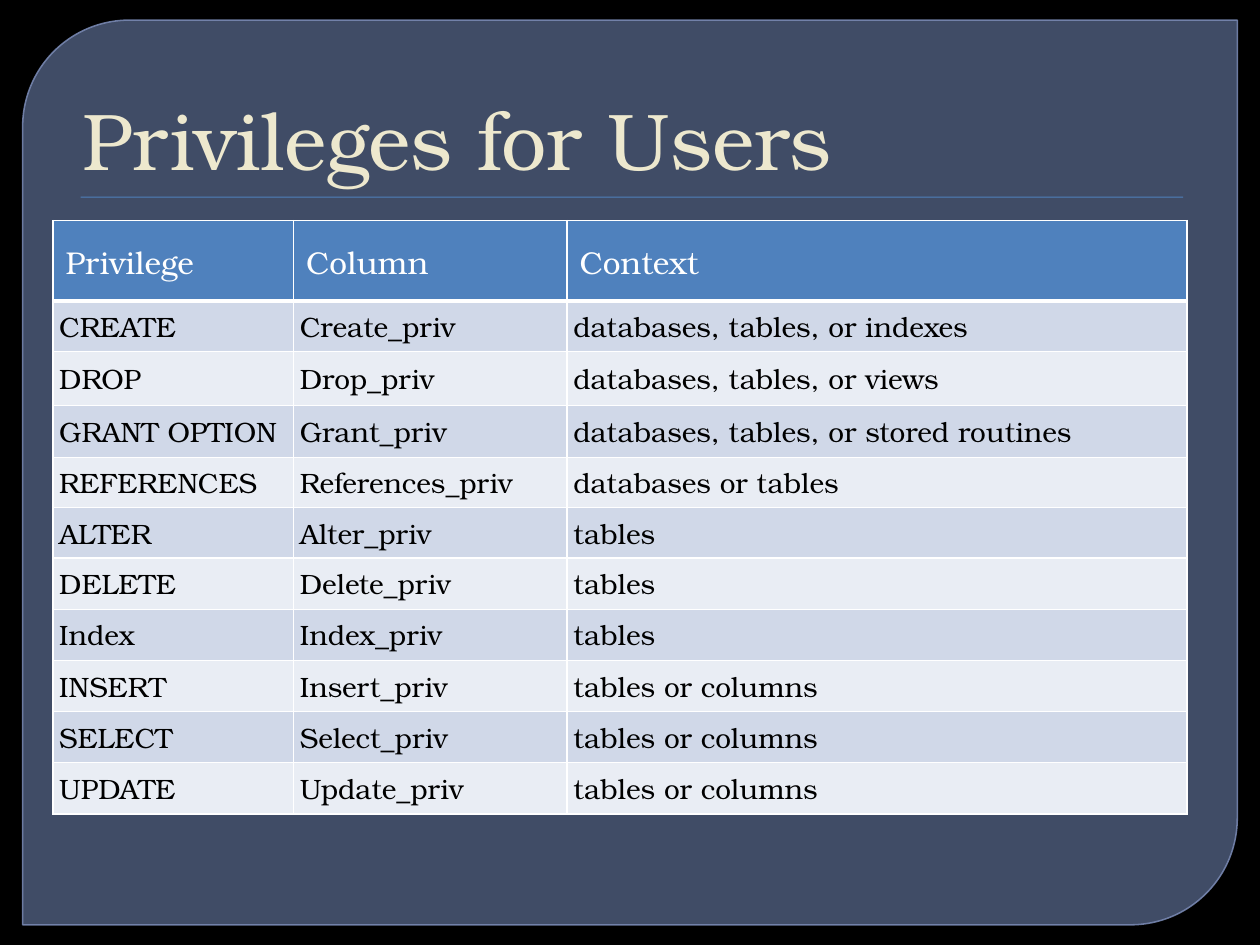
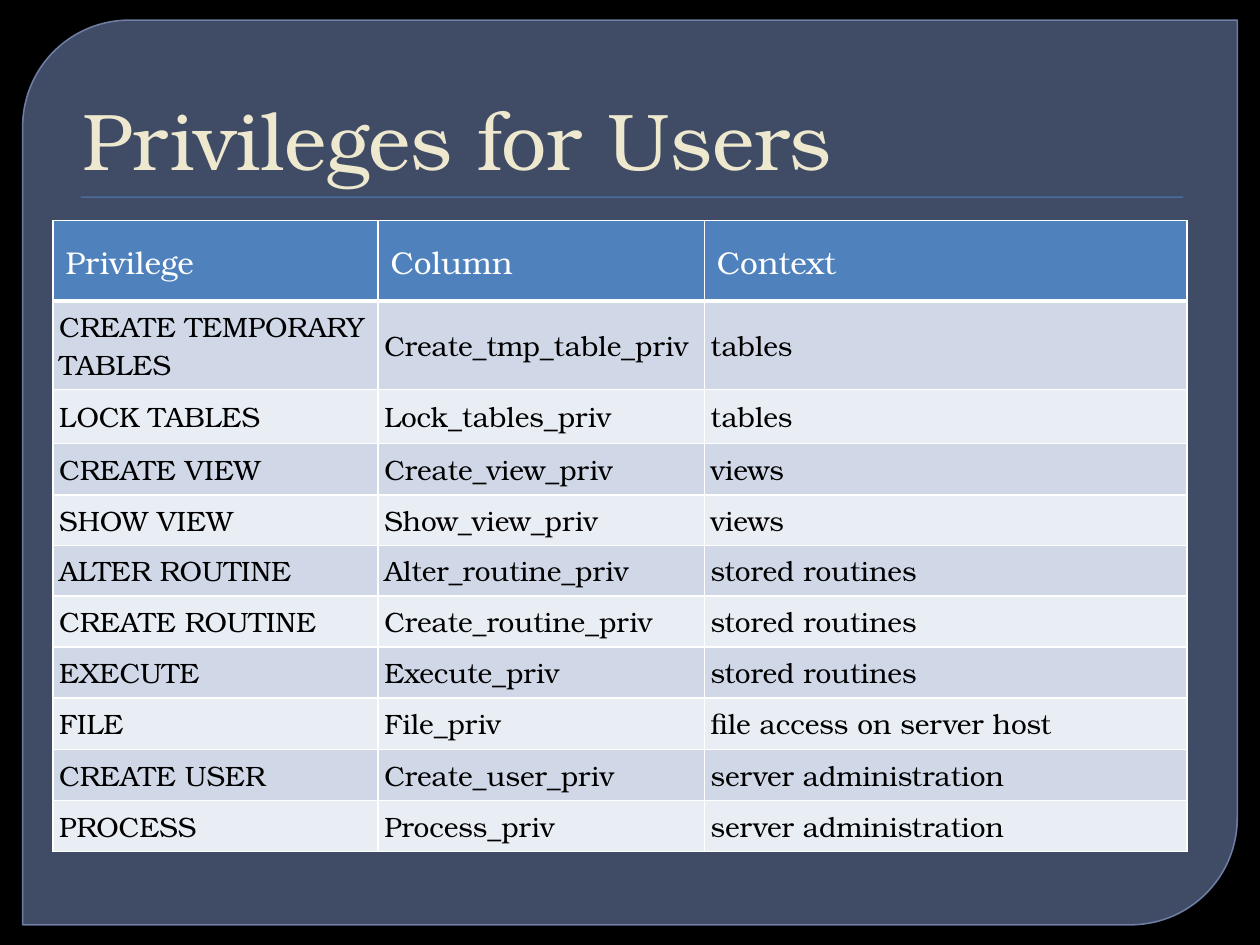
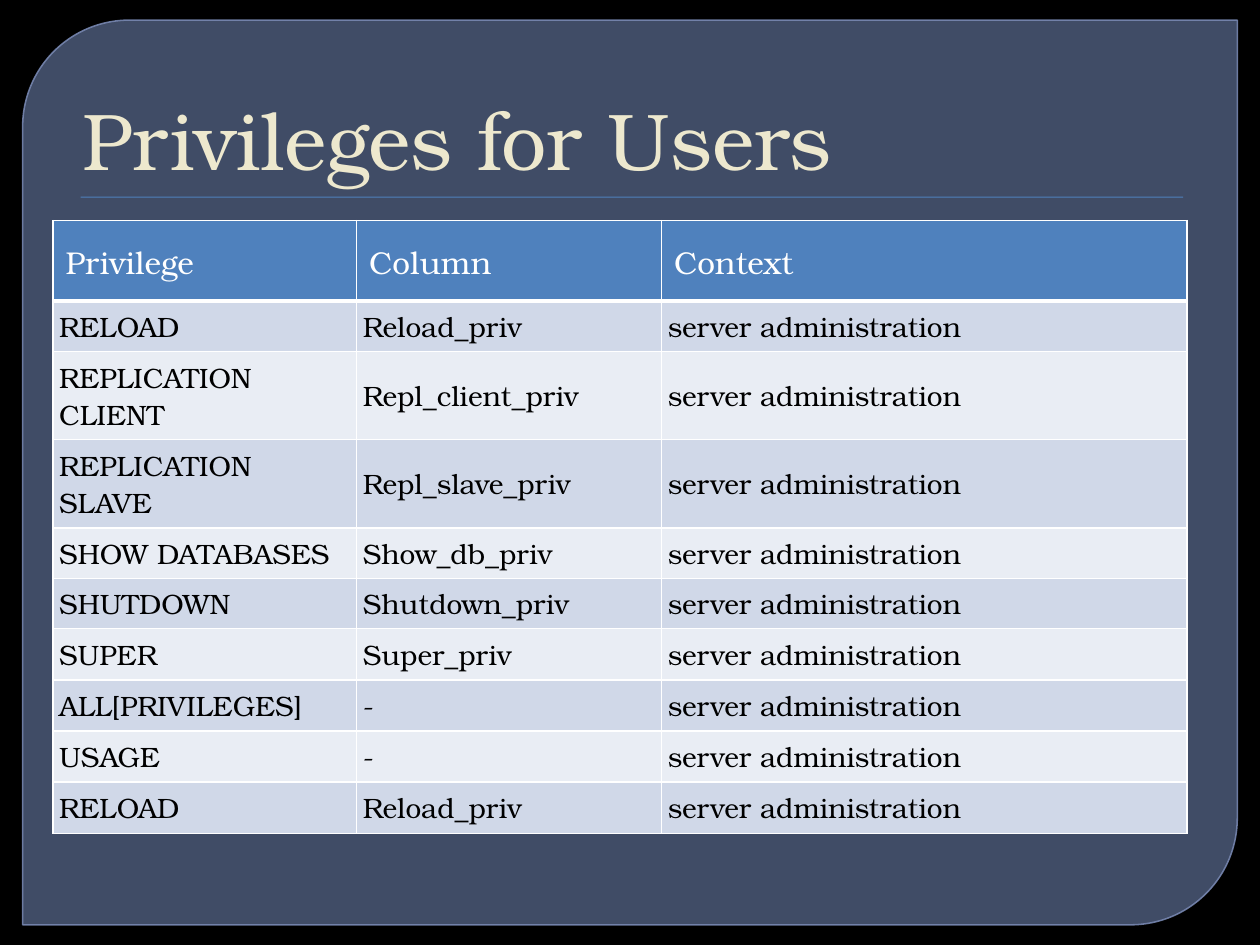
from lxml.etree import SubElement
from pptx import Presentation
from pptx.dml.color import RGBColor
from pptx.enum.shapes import MSO_SHAPE
from pptx.enum.text import MSO_ANCHOR
from pptx.oxml.ns import qn
from pptx.util import Inches, Pt

FONT = "TeX Gyre Bonum"
COLORS = {
    "background": "000000", "panel": "63759D", "panel_edge": "7989B3",
    "accent": "4F81BD", "title": "EDE8CE", "header_text": "FFFFFF",
    "body_text": "000000", "border": "FFFFFF",
    "band_dark": "D0D8E8", "band_light": "E9EDF4",
}

# Boxes are left, top, width, height in inches
PANEL_BOX = (0.18, 0.16, 9.64, 7.18)
TITLE_BOX = (0.5, 0.28, 9, 1.25)
RULE_BOX = (0.64, 1.56, 8.75, 0.01)

TITLE = "Privileges for Users"
HEADINGS = ("Privilege", "Column", "Context")
HEADER_HEIGHT = 0.64
FIRST_ROW_HEIGHTS = (0.4, 0.43, 0.41, 0.4, 0.4)
ROW_HEIGHT = 2.03 / 5  # five equal rows
TWO_LINE_HEIGHT = 0.7
TWO_LINE_PRIVILEGES = {
    "CREATE TEMPORARY TABLES", "REPLICATION CLIENT", "REPLICATION SLAVE",
}
ADMIN = "server administration"

# Table box, column widths and rows of each slide
PRIVILEGE_TABLES = [
    ((0.42, 1.75, 9, 4.71), (1.91, 2.17, 4.92), [
        ("CREATE", "Create_priv", "databases, tables, or indexes"),
        ("DROP", "Drop_priv", "databases, tables, or views"),
        ("GRANT OPTION", "Grant_priv", "databases, tables, or stored routines"),
        ("REFERENCES", "References_priv", "databases or tables"),
        ("ALTER", "Alter_priv", "tables"),
        ("DELETE", "Delete_priv", "tables"),
        ("Index", "Index_priv", "tables"),
        ("INSERT", "Insert_priv", "tables or columns"),
        ("SELECT", "Select_priv", "tables or columns"),
        ("UPDATE", "Update_priv", "tables or columns"),
    ]),
    ((0.42, 1.75, 9, 5.01), (2.58, 2.59, 3.83), [
        ("CREATE TEMPORARY TABLES", "Create_tmp_table_priv", "tables"),
        ("LOCK TABLES", "Lock_tables_priv", "tables"),
        ("CREATE VIEW", "Create_view_priv", "views"),
        ("SHOW VIEW", "Show_view_priv", "views"),
        ("ALTER ROUTINE", "Alter_routine_priv", "stored routines"),
        ("CREATE ROUTINE", "Create_routine_priv", "stored routines"),
        ("EXECUTE", "Execute_priv", "stored routines"),
        ("FILE", "File_priv", "file access on server host"),
        ("CREATE USER", "Create_user_priv", ADMIN),
        ("PROCESS", "Process_priv", ADMIN),
    ]),
    ((0.42, 1.75, 9, 4.87), (2.41, 2.42, 4.17), [
        ("RELOAD", "Reload_priv", ADMIN),
        ("REPLICATION CLIENT", "Repl_client_priv", ADMIN),
        ("REPLICATION SLAVE", "Repl_slave_priv", ADMIN),
        ("SHOW DATABASES", "Show_db_priv", ADMIN),
        ("SHUTDOWN", "Shutdown_priv", ADMIN),
        ("SUPER", "Super_priv", ADMIN),
        ("ALL[PRIVILEGES]", "-", ADMIN),
        ("USAGE", "-", ADMIN),
        ("RELOAD", "Reload_priv", ADMIN),
    ]),
]


def rgb(name):
    return RGBColor.from_string(COLORS[name])


def inches(box):
    return [Inches(length) for length in box]


def write(frame, text, *, size, color, indent=0):
    paragraph = frame.paragraphs[0]
    if indent:
        paragraph._p.get_or_add_pPr().set("marL", str(Inches(indent)))
    run = paragraph.add_run()
    run.text = text
    run.font.name = FONT
    run.font.size = Pt(size)
    run.font.bold = False
    run.font.color.rgb = rgb(color)


def set_alpha(color_parent, percent):
    color = color_parent.find(".//" + qn("a:srgbClr"))
    SubElement(color, qn("a:alpha"), val=str(percent * 1000))


def add_filled(slide, kind, box, color):
    shape = slide.shapes.add_shape(kind, *inches(box))
    shape.shadow.inherit = False
    shape.fill.solid()
    shape.fill.fore_color.rgb = rgb(color)
    shape.line.fill.background()
    return shape


def draw_panel(slide, box):
    panel = add_filled(slide, MSO_SHAPE.ROUND_2_DIAG_RECTANGLE, box, "panel")
    panel.adjustments[0] = 0.118
    panel.adjustments[1] = 0
    panel.line.color.rgb = rgb("panel_edge")
    panel.line.width = Pt(0.87)
    properties = panel._element.spPr
    set_alpha(properties.find(qn("a:solidFill")), 65)
    set_alpha(properties.find(qn("a:ln")), 88)


def draw_rule(slide, box):
    rule = add_filled(slide, MSO_SHAPE.RECTANGLE, box, "accent")
    effects = rule._element.spPr.find(qn("a:effectLst"))
    shadow = SubElement(effects, qn("a:outerShdw"), blurRad=str(Pt(1)),
                        dist=str(Pt(1)), dir="5400000")
    SubElement(shadow, qn("a:srgbClr"), val=COLORS["background"])
    set_alpha(shadow, 75)


def draw_title(slide, box):
    frame = slide.shapes.add_textbox(*inches(box)).text_frame
    frame.word_wrap = True
    frame.vertical_anchor = MSO_ANCHOR.BOTTOM
    write(frame, TITLE, size=46, color="title", indent=0.06)


def set_borders(cell, **widths):
    properties = cell._tc.get_or_add_tcPr()
    for side, width in widths.items():
        line = SubElement(properties, qn("a:ln" + side), w=str(Pt(width)))
        fill = SubElement(line, qn("a:solidFill"))
        SubElement(fill, qn("a:srgbClr"), val=COLORS["border"])


def fill_cell(cell, text, *, fill, size, color, margins):
    cell.vertical_anchor = MSO_ANCHOR.MIDDLE
    side, edge = inches(margins)
    cell.margin_left = cell.margin_right = side
    cell.margin_top = cell.margin_bottom = edge
    cell.fill.solid()
    cell.fill.fore_color.rgb = rgb(fill)
    write(cell.text_frame, text, size=size, color=color)


def row_height(number, privilege):
    if privilege in TWO_LINE_PRIVILEGES:
        return Inches(TWO_LINE_HEIGHT)
    if number < len(FIRST_ROW_HEIGHTS):
        return Inches(FIRST_ROW_HEIGHTS[number])
    return Inches(ROW_HEIGHT)


def draw_privileges(slide, box, column_widths, privileges):
    frame = slide.shapes.add_table(len(privileges) + 1, len(HEADINGS), *inches(box))
    table = frame.table
    table.first_row = table.horz_banding = False
    for column, width in zip(table.columns, column_widths):
        column.width = Inches(width)

    # Header row
    table.rows[0].height = Inches(HEADER_HEIGHT)
    for cell, heading in zip(table.rows[0].cells, HEADINGS):
        set_borders(cell, L=1, R=1, T=1, B=3)
        fill_cell(cell, heading, fill="accent", size=18, color="header_text",
                  margins=(0.1, 0.16))

    # Banded privilege rows
    for number, privilege in enumerate(privileges):
        row = table.rows[number + 1]
        row.height = row_height(number, privilege[0])
        band = "band_light" if number % 2 else "band_dark"
        for cell, text in zip(row.cells, privilege):
            set_borders(cell, L=1, R=1, B=1)
            fill_cell(cell, text, fill=band, size=16, color="body_text",
                      margins=(0.05, 0.05))


def build_slide(deck, box, column_widths, privileges):
    slide = deck.slides.add_slide(deck.slide_layouts[6])
    slide.background.fill.solid()
    slide.background.fill.fore_color.rgb = rgb("background")
    draw_panel(slide, PANEL_BOX)
    draw_rule(slide, RULE_BOX)
    draw_title(slide, TITLE_BOX)
    draw_privileges(slide, box, column_widths, privileges)


def main():
    deck = Presentation()
    deck.slide_width, deck.slide_height = Inches(10), Inches(7.5)
    for privilege_table in PRIVILEGE_TABLES:
        build_slide(deck, *privilege_table)
    deck.save("out.pptx")


if __name__ == "__main__":
    main()
